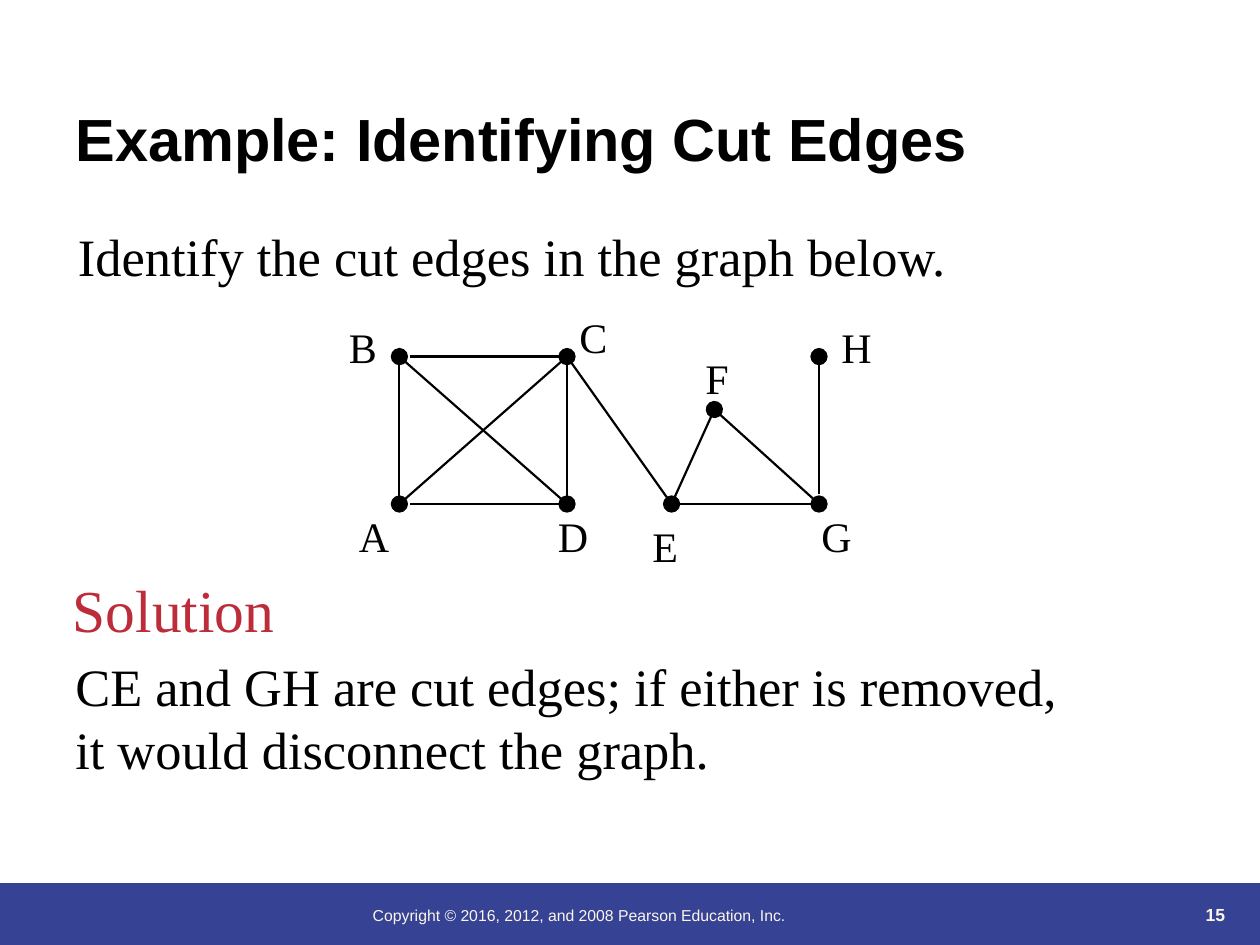
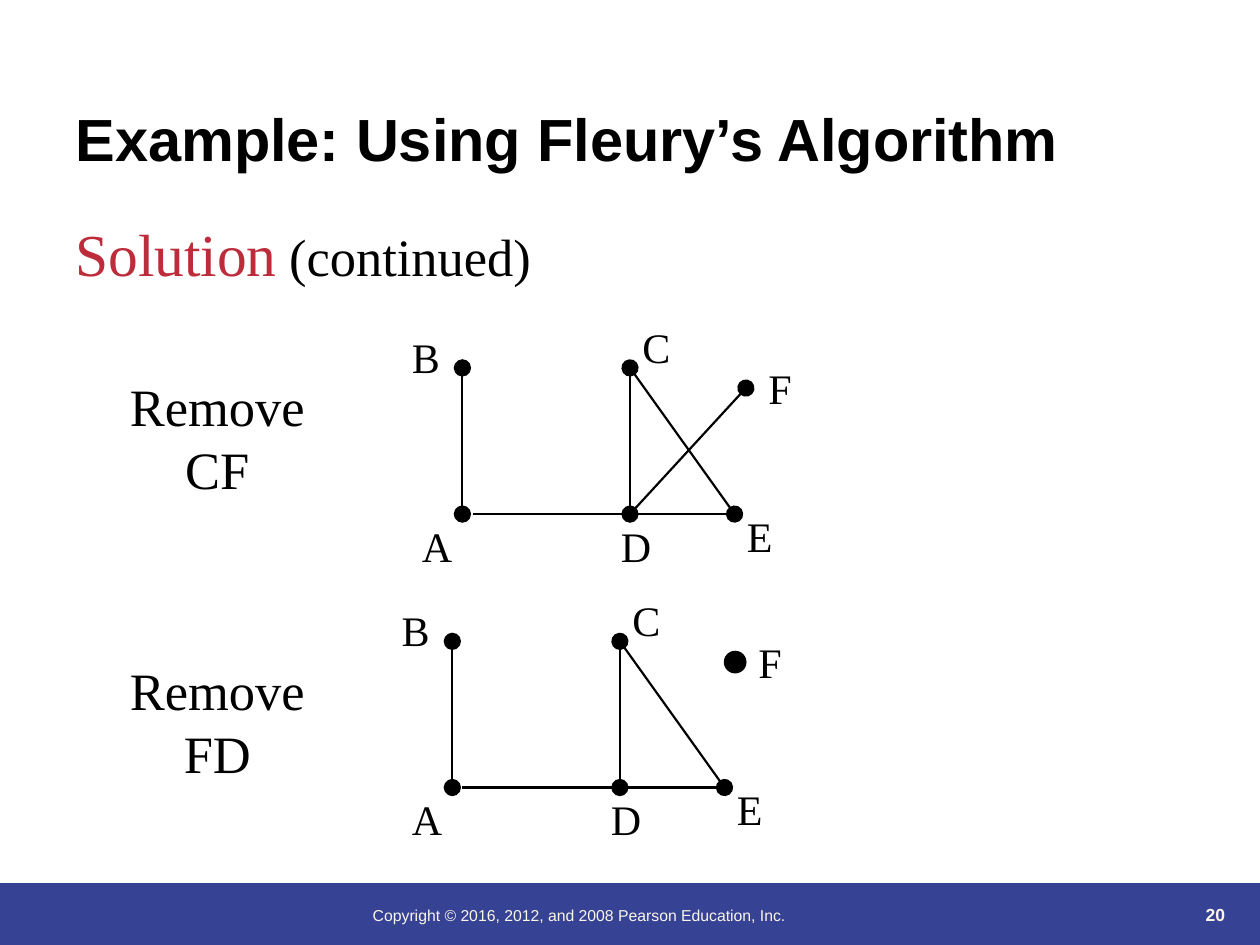
import math

import pptx
import pptx.dml.color
import pptx.enum.shapes
import pptx.enum.text
import pptx.oxml.ns
import pptx.util
from lxml import etree
from pptx.util import Inches

COLORS = {"band": "364395", "footer": "FBF5EA", "ink": "000000", "accent": "BC2C3A"}
RGB = {name: pptx.dml.color.RGBColor.from_string(value) for name, value in COLORS.items()}
SERIF, SANS = "Times New Roman", "Arial"
ALIGN = pptx.enum.text.PP_ALIGN
ANCHOR = pptx.enum.text.MSO_ANCHOR
SHAPE = pptx.enum.shapes.MSO_SHAPE
qn = pptx.oxml.ns.qn


def add_text(s, box, runs, font=SERIF, bold=False, align=ALIGN.LEFT, anchor=ANCHOR.TOP):
    """Add a wrapped text box; runs are (text, size, colour name)."""
    tf = s.shapes.add_textbox(*[Inches(v) for v in box]).text_frame
    tf.word_wrap = True
    tf.vertical_anchor = anchor
    p = tf.paragraphs[0]
    p.alignment = align
    p.line_spacing = pptx.util.Pt(1.2 * max(size for _, size, _ in runs))
    for text, size, color in runs:
        r = p.add_run()
        r.text = text
        r.font.name = font
        r.font.size = pptx.util.Pt(size)
        r.font.bold = bold
        r.font.color.rgb = RGB[color]


def add_graph(s, nodes, edges, dx=0, dy=0):
    """Draw edges and node labels; the dots are oval line ends."""
    for (a, b), ends in edges:
        x1, y1 = nodes[a][:2]
        x2, y2 = nodes[b][:2]
        if ends == "gap":  # the line stops just short of its first node
            step = 0.08 / math.hypot(x2 - x1, y2 - y1)
            x1, y1 = x1 + step * (x2 - x1), y1 + step * (y2 - y1)
        line = s.shapes.add_connector(
            pptx.enum.shapes.MSO_CONNECTOR.STRAIGHT,
            Inches(x1 + dx), Inches(y1 + dy), Inches(x2 + dx), Inches(y2 + dy))
        line.line.color.rgb = RGB["ink"]
        line.line.width = pptx.util.Pt(1.25)
        ln = line.line._get_or_add_ln()
        ovals = {"both": ["headEnd", "tailEnd"], "plain": []}.get(ends, ["tailEnd"])
        for tag in ovals:
            etree.SubElement(ln, qn("a:" + tag), type="oval", w="lg", len="lg")
        etree.SubElement(line._element.spPr, qn("a:effectLst"))
    for name, (_, _, left, top) in nodes.items():
        add_text(s, (left + dx, top + dy, 1, 0.5), [(name, 24, "ink")])


prs = pptx.Presentation()
prs.slide_width, prs.slide_height = Inches(10), Inches(7.5)

# Title, band and footer of every slide
slides = []
for title, number in [("Example: Identifying Cut Edges", "15"),
                      ("Example: Using Fleury’s Algorithm", "20")]:
    s = prs.slides.add_slide(prs.slide_layouts[5])
    slides.append(s)
    sp = s.shapes.title
    sp.left, sp.top, sp.width, sp.height = [Inches(v) for v in (0.5, 0.18, 9, 1.25)]
    tf = sp.text_frame
    tf.auto_size = pptx.enum.text.MSO_AUTO_SIZE.NONE
    tf.vertical_anchor = ANCHOR.BOTTOM
    p = tf.paragraphs[0]
    p.alignment = ALIGN.LEFT
    r = p.add_run()
    r.text = title
    r.font.name, r.font.size, r.font.bold = SANS, pptx.util.Pt(34), True
    r.font.color.rgb = RGB["ink"]

    band = s.shapes.add_shape(SHAPE.RECTANGLE, 0, Inches(7.01), Inches(10), Inches(0.49))
    band.shadow.inherit = False
    band.fill.solid()
    band.fill.fore_color.rgb = RGB["band"]
    band.line.fill.background()
    add_text(s, (2.86, 7.14, 4.92, 0.36),
             [("Copyright © 2016, 2012, and 2008 Pearson Education, Inc.", 9, "footer")],
             font=SANS)
    add_text(s, (8.9, 6.89, 0.92, 0.5), [(number, 10, "footer")], font=SANS, bold=True,
             align=ALIGN.RIGHT, anchor=ANCHOR.BOTTOM)

# Slide 1: question, graph and solution
s = slides[0]
add_text(s, (0.52, 1.73, 8.33, 0.6),
         [("Identify the cut edges in the graph below.", 30, "ink")])
# Each node: x, y, then left and top of its label
cut_nodes = {
    "A": (3.17, 4, 2.75, 4), "B": (3.17, 2.83, 2.67, 2.5),
    "C": (4.5, 2.83, 4.5, 2.42), "D": (4.5, 4, 4.33, 4),
    "E": (5.33, 4, 5.08, 4.08), "F": (5.67, 3.25, 5.5, 2.75),
    "G": (6.5, 4, 6.42, 4), "H": (6.5, 2.83, 6.58, 2.5),
}
cut_edges = [("AB", "both"), ("BC", "gap"), ("CD", "plain"), ("EG", "both"), ("AD", "gap"),
             ("CA", "plain"), ("CE", "plain"), ("BD", "plain"), ("EF", "end"),
             ("FG", "plain"), ("GH", "gap")]
add_graph(s, cut_nodes, cut_edges)
add_text(s, (0.48, 4.5, 6.75, 0.67), [("Solution", 34, "accent")])
add_text(s, (0.5, 5.14, 8.13, 1.1),
         [("CE and GH are cut edges; if either is removed, it would disconnect the graph.",
           30, "ink")])

# Slide 2: two steps of the algorithm
s = slides[1]
add_text(s, (0.5, 1.67, 6, 0.67),
         [("Solution", 34, "accent"), (" ", 28, "accent"), ("(continued)", 30, "ink")])
step_nodes = {
    "A": (3.67, 4.08, 3.25, 4.08), "B": (3.67, 2.92, 3.17, 2.58),
    "C": (5, 2.92, 5, 2.5), "D": (5, 4.08, 4.83, 4.08),
    "E": (5.83, 4.08, 5.83, 4), "F": (5.92, 3.08, 6, 2.83),
}
step_edges = [("AB", "both"), ("CD", "plain"), ("AD", "gap"), ("CE", "both"), ("ED", "plain")]
for removed, top, dx, dy, extra in [("CF", 2.92, 0, 0, [("DF", "end")]),
                                    ("FD", 5.17, -0.08, 2.17, [])]:
    add_text(s, (0.89, top, 1.67, 1.1), [("Remove " + removed, 30, "ink")],
             align=ALIGN.CENTER)
    add_graph(s, step_nodes, step_edges + extra, dx, dy)

# F is isolated once FD is gone
dot = s.shapes.add_shape(SHAPE.OVAL, Inches(5.75), Inches(5.17), Inches(0.17), Inches(0.17))
dot.shadow.inherit = False
dot.fill.solid()
dot.fill.fore_color.rgb = RGB["ink"]
dot.line.color.rgb = RGB["ink"]
dot.line.width = pptx.util.Pt(0.75)

prs.save("out.pptx")
